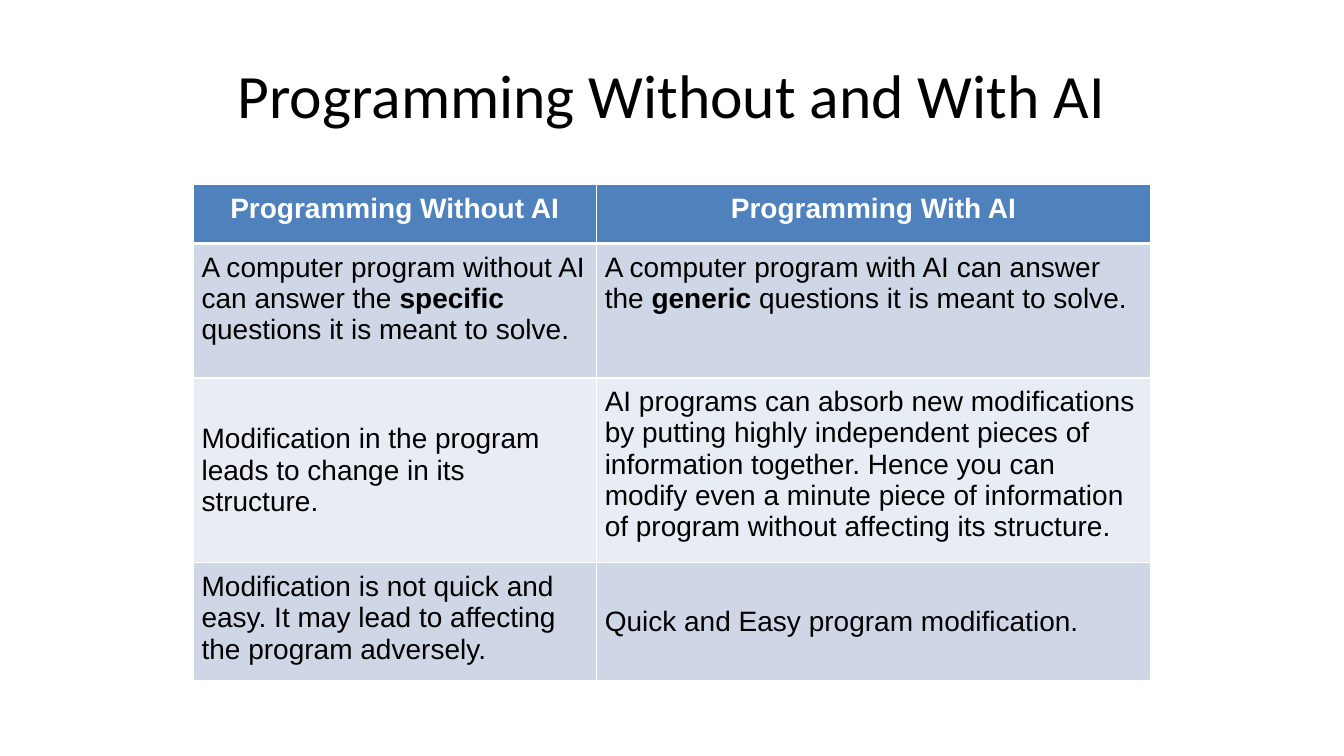
from pptx import Presentation
from pptx.dml.color import RGBColor
from pptx.enum.text import MSO_ANCHOR as ANCHOR, PP_ALIGN as ALIGN
from pptx.oxml import parse_xml
from pptx.oxml.ns import nsdecls
from pptx.util import Pt

PX = 9525  # EMU per px, 96 px to the inch
BLACK = RGBColor(0x00, 0x00, 0x00)
WHITE = RGBColor(0xFF, 0xFF, 0xFF)
HEADER_BLUE = RGBColor(0x4F, 0x81, 0xBD)
BAND_DARK = RGBColor(0xCF, 0xD7, 0xE7)
BAND_LIGHT = RGBColor(0xE8, 0xEC, 0xF4)


def write(tf, text, size=20, font="Arial", color=BLACK, bold=False,
          align=ALIGN.LEFT):
    """Fill a text frame; words between * marks switch bold on."""
    tf.word_wrap = True
    p = tf.paragraphs[0]
    p.alignment = align
    for i, part in enumerate(text.split("*")):
        r = p.add_run()
        r.text = part
        r.font.size = Pt(size)
        r.font.name = font
        r.font.bold = bold or i % 2 == 1
        r.font.color.rgb = color


def add_borders(cell, bottom):
    tcPr = cell._tc.get_or_add_tcPr()
    for side, width in (("L", 1), ("R", 1), ("T", 1), ("B", bottom)):
        tcPr.append(parse_xml(
            f'<a:ln{side} {nsdecls("a")} w="{Pt(width)}"><a:solidFill>'
            f'<a:srgbClr val="{WHITE}"/></a:solidFill></a:ln{side}>'))


prs = Presentation()
prs.slide_width, prs.slide_height = 1280 * PX, 720 * PX
s = prs.slides.add_slide(prs.slide_layouts[6])

# Title
sp = s.shapes.add_textbox(64 * PX, 29 * PX, 1152 * PX, 120 * PX)
sp.text_frame.vertical_anchor = ANCHOR.MIDDLE
write(sp.text_frame, "Programming Without and With AI", size=44,
      font="Calibri", align=ALIGN.CENTER)

# Comparison table
ROWS = [
    ("Programming Without AI", "Programming With AI"),
    ("A computer program without AI can answer the *specific* questions it is meant to solve.",
     "A computer program with AI can answer the *generic* questions it is meant to solve."),
    ("Modification in the program leads to change in its structure.",
     "AI programs can absorb new modifications by putting highly independent "
     "pieces of information together. Hence you can modify even a minute piece "
     "of information of program without affecting its structure."),
    ("Modification is not quick and easy. It may lead to affecting the program adversely.",
     "Quick and Easy program modification."),
]
COL_WIDTHS = [384, 528]
ROW_HEIGHTS = [56, 128, 176, 92]
CENTERED_CELLS = {(2, 0), (3, 1)}

table = s.shapes.add_table(len(ROWS), 2, 184 * PX, 176 * PX,
                           sum(COL_WIDTHS) * PX, sum(ROW_HEIGHTS) * PX).table
for col, width in zip(table.columns, COL_WIDTHS):
    col.width = width * PX
for row, height in zip(table.rows, ROW_HEIGHTS):
    row.height = height * PX

for i, texts in enumerate(ROWS):
    header = i == 0
    fill = HEADER_BLUE if header else BAND_DARK if i % 2 else BAND_LIGHT
    for j, text in enumerate(texts):
        cell = table.cell(i, j)
        cell.margin_left = cell.margin_right = 8 * PX
        cell.margin_top = cell.margin_bottom = 8 * PX
        cell.vertical_anchor = ANCHOR.MIDDLE if (i, j) in CENTERED_CELLS else ANCHOR.TOP
        add_borders(cell, bottom=3 if header else 1)
        cell.fill.solid()
        cell.fill.fore_color.rgb = fill
        write(cell.text_frame, text, bold=header,
              color=WHITE if header else BLACK,
              align=ALIGN.CENTER if header else ALIGN.LEFT)

prs.save("out.pptx")
